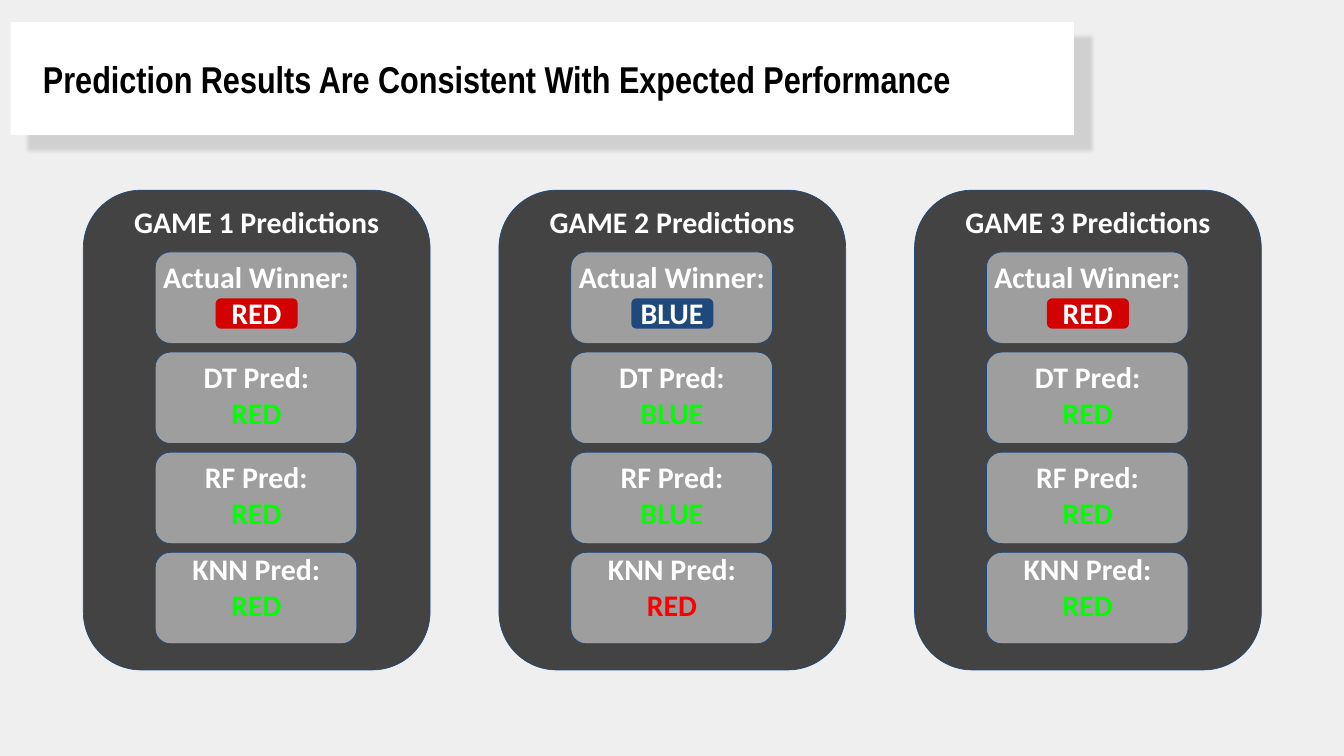
from lxml import etree
from pptx import Presentation
from pptx.dml.color import RGBColor
from pptx.enum import shapes, text
from pptx.oxml.ns import qn
from pptx.util import Inches, Pt


def paint(target, color):
    target.solid()
    target.fore_color.rgb = RGBColor.from_string(color)


def add_block(page, kind, left, top, width, height, fill=None, line=None, lines=()):
    bounds = [Inches(value) for value in (left, top, width, height)]
    if kind is None:
        block = page.shapes.add_textbox(*bounds)
    else:
        block = page.shapes.add_shape(kind, *bounds)
        block.shadow.inherit = False
        paint(block.fill, fill)
        if line:
            paint(block.line.fill, line)
            block.line.width = Pt(0.75)
        else:
            block.line.fill.background()
    frame = block.text_frame
    frame.word_wrap = True
    frame.margin_left = frame.margin_right = Inches(0.1)
    frame.margin_top = frame.margin_bottom = Inches(0.1)
    if lines:
        frame.text = "\n".join(words for words, color in lines)
        for para, (words, color) in zip(frame.paragraphs, lines):
            para.alignment = text.PP_ALIGN.CENTER
            span = para.runs[0]
            span.font.name = "Calibri"
            span.font.size = Pt(32)
            span.font.bold = True
            paint(span.font.fill, color)
    return block


RECT = shapes.MSO_SHAPE.RECTANGLE
ROUND = shapes.MSO_SHAPE.ROUNDED_RECTANGLE
WHITE, GREEN, NAVY = "FFFFFF", "00FF00", "1F497D"
WINNER_FILLS = {"RED": "D40101", "BLUE": NAVY}

deck = Presentation()
deck.slide_width = Inches(20)
deck.slide_height = Inches(11.25)
page = deck.slides.add_slide(deck.slide_layouts[6])
paint(page.background.fill, "EFEFEF")

title = add_block(page, RECT, 0.16, 0.33, 15.82, 1.68, WHITE)
title.text_frame.text = "Prediction Results Are Consistent With Expected Performance"
title.text_frame.vertical_anchor = text.MSO_ANCHOR.MIDDLE
title.text_frame.margin_left = Inches(0.48)
para = title.text_frame.paragraphs[0]
para.alignment = text.PP_ALIGN.LEFT
span = para.runs[0]
span.font.name = "Arial Narrow"
span.font.size = Pt(40)
span.font.bold = True
paint(span.font.fill, "000000")

effects = title.element.spPr.find(qn("a:effectLst"))
shadow = etree.SubElement(effects, qn("a:outerShdw"), blurRad=str(Pt(4.5)), dist=str(Pt(24)),
                          dir=str(39 * 60000), algn="tl", rotWithShape="0")
shadow_color = etree.SubElement(shadow, qn("a:srgbClr"), val="000000")
etree.SubElement(shadow_color, qn("a:alpha"), val="13000")

models = ["DT", "RF", "KNN"]
row_tops = [3.75 + 1.49 * row for row in range(4)]
label_tops = row_tops[1:3] + [8.09]
games = [
    ("RED", ["RED", "RED", "RED"]),
    ("BLUE", ["BLUE", "BLUE", "RED"]),
    ("RED", ["RED", "RED", "RED"]),
]

for number, (winner, predictions) in enumerate(games):
    left = 1.24 + 6.185 * number
    add_block(page, ROUND, left, 2.83, 5.16, 7.14, "434343", NAVY)
    add_block(page, None, left + 0.47, 2.93, 4.22, 0.7,
              lines=[(f"GAME {number + 1} Predictions", WHITE)])
    for top in row_tops:
        add_block(page, ROUND, left + 1.07, top, 3, 1.36, "9E9E9E", NAVY)
    for model, prediction, top in zip(models, predictions, label_tops):
        color = GREEN if prediction == winner else "FF0000"
        add_block(page, None, left + 1, top, 3.15, 1.36,
                  lines=[(f"{model} Pred:", WHITE), (prediction, color)])
    add_block(page, ROUND, left + 1.97, 4.44, 1.22, 0.45, WINNER_FILLS[winner])
    add_block(page, None, left + 1, row_tops[0], 3.15, 1.36,
              lines=[("Actual Winner:", WHITE), (winner, WHITE)])

deck.save("out.pptx")
